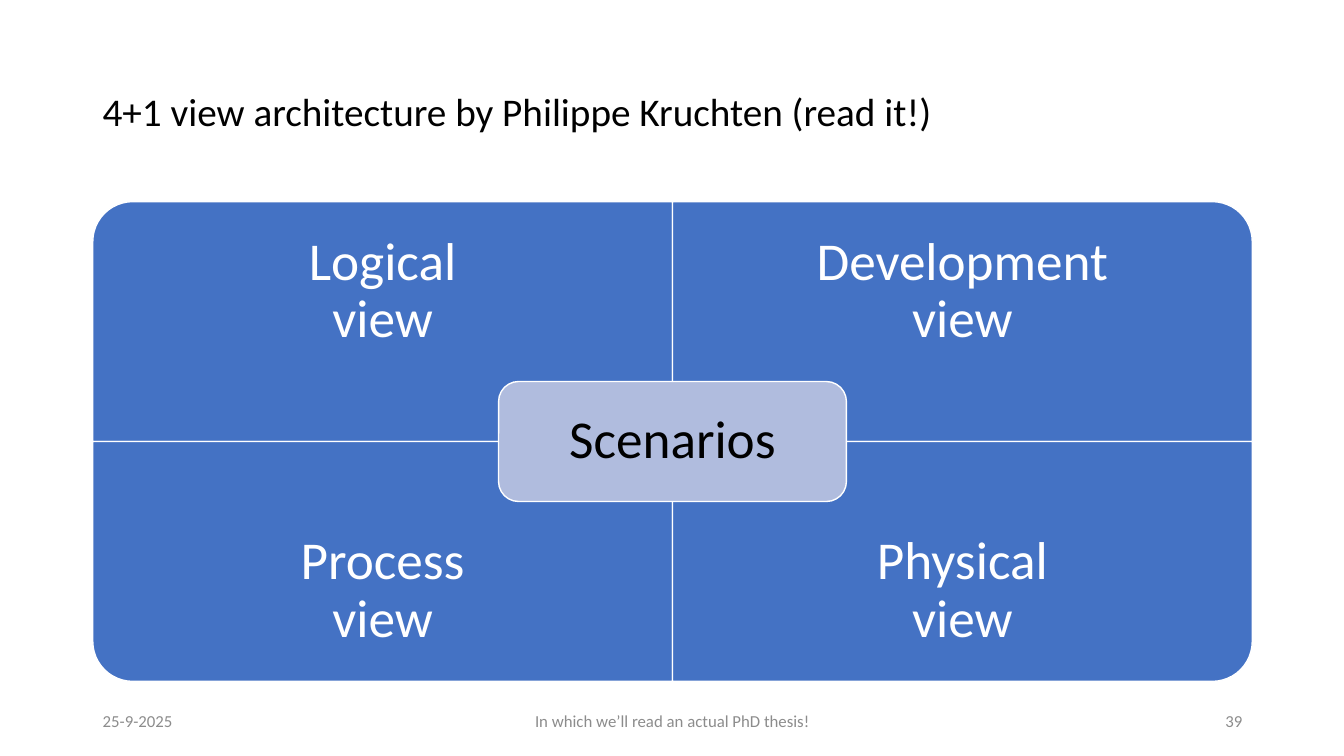
from pptx import Presentation
from pptx import util as u
from pptx.dml.color import RGBColor
from pptx.enum import shapes, text

COLORS = {"ink": "000000", "paper": "FFFFFF", "view": "4472C4",
          "scenarios": "B0BCDE", "footer": "8C8C8C"}
FONT = "Calibri"
WIDTH, HEIGHT = 13.33, 7.5
MARGIN = 0.92
CONTENT = 11.5
ALIGN = text.PP_ALIGN


def color(name):
    return RGBColor.from_string(COLORS[name])


def add_text(slide, box, words, size, ink, align=ALIGN.LEFT, spacing=None, inset=None):
    shape = slide.shapes.add_textbox(*map(u.Inches, box))
    frame = shape.text_frame
    frame.word_wrap = True
    frame.vertical_anchor = text.MSO_ANCHOR.MIDDLE
    if inset is not None:
        frame.margin_left = frame.margin_right = u.Inches(inset)
        frame.margin_top = frame.margin_bottom = u.Inches(inset)
    paragraph = frame.paragraphs[0]
    paragraph.text = words
    paragraph.alignment = align
    paragraph.line_spacing = spacing
    paragraph.font.size = u.Pt(size)
    paragraph.font.name = FONT
    paragraph.font.color.rgb = color(ink)


def add_panel(slide, kind, box, fill, rotation=0):
    """Add a white-edged panel that covers the box after its rotation."""
    left, top, width, height = box
    if rotation % 180:
        left, top = left + (width - height) / 2, top + (height - width) / 2
        width, height = height, width
    shape = slide.shapes.add_shape(kind, *map(u.Inches, (left, top, width, height)))
    shape.rotation = rotation
    shape.shadow.inherit = False
    shape.fill.solid()
    shape.fill.fore_color.rgb = color(fill)
    shape.line.color.rgb = color("paper")
    shape.line.width = u.Pt(1)


def add_title(slide, box):
    add_text(slide, box, "4+1 view architecture by Philippe Kruchten (read it!)",
             28, "ink", spacing=0.9)


def add_view_matrix(slide, box):
    left, top, width, height = box
    column, row = width / 2, height / 2
    label_height = row * 0.75

    # Four views, each with its rounded corner turned outwards
    views = [("Logical\nview", 0, 0, 270), ("Development\nview", 1, 0, 0),
             ("Process\nview", 0, 1, 180), ("Physical\nview", 1, 1, 90)]
    for words, x, y, rotation in views:
        cell_left, cell_top = left + x * column, top + y * row
        add_panel(slide, shapes.MSO_SHAPE.ROUND_1_RECTANGLE,
                  (cell_left, cell_top, column, row), "view", rotation)
        label_top = cell_top + y * (row - label_height)
        add_text(slide, (cell_left, label_top, column, label_height), words,
                 38, "paper", ALIGN.CENTER, 0.9, 0.3)

    # Scenarios, centred over the four views
    center_width, center_height = column * 0.6, row / 2
    center = (left + column - center_width / 2, top + row - center_height / 2,
              center_width, center_height)
    add_panel(slide, shapes.MSO_SHAPE.ROUNDED_RECTANGLE, center, "scenarios")
    add_text(slide, center, "Scenarios", 38, "ink", ALIGN.CENTER, 0.9, 0.22)


def add_footer(slide, box):
    left, top, width, height = box
    side, middle = 3, 4.5
    parts = [("25-9-2025", 0, side, ALIGN.LEFT),
             ("In which we’ll read an actual PhD thesis!",
              (width - middle) / 2, middle, ALIGN.CENTER),
             ("39", width - side, side, ALIGN.RIGHT)]
    for words, offset, part_width, align in parts:
        add_text(slide, (left + offset, top, part_width, height), words,
                 12, "footer", align)


def main():
    presentation = Presentation()
    presentation.slide_width = u.Inches(WIDTH)
    presentation.slide_height = u.Inches(HEIGHT)
    slide = presentation.slides.add_slide(presentation.slide_layouts[6])
    add_title(slide, (MARGIN, 0.4, CONTENT, 1.45))
    add_view_matrix(slide, (MARGIN, 2, CONTENT, 4.76))
    add_footer(slide, (MARGIN, 6.95, CONTENT, 0.4))
    presentation.save("out.pptx")


if __name__ == "__main__":
    main()
